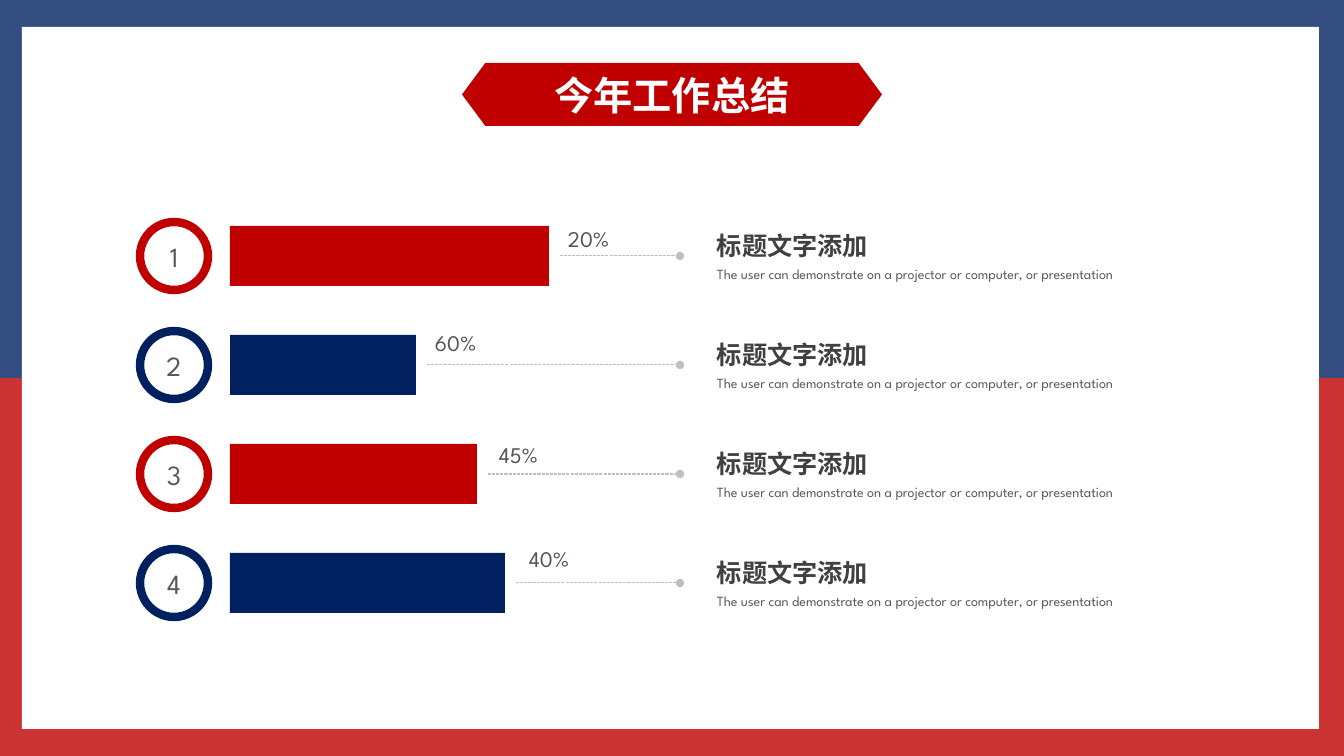
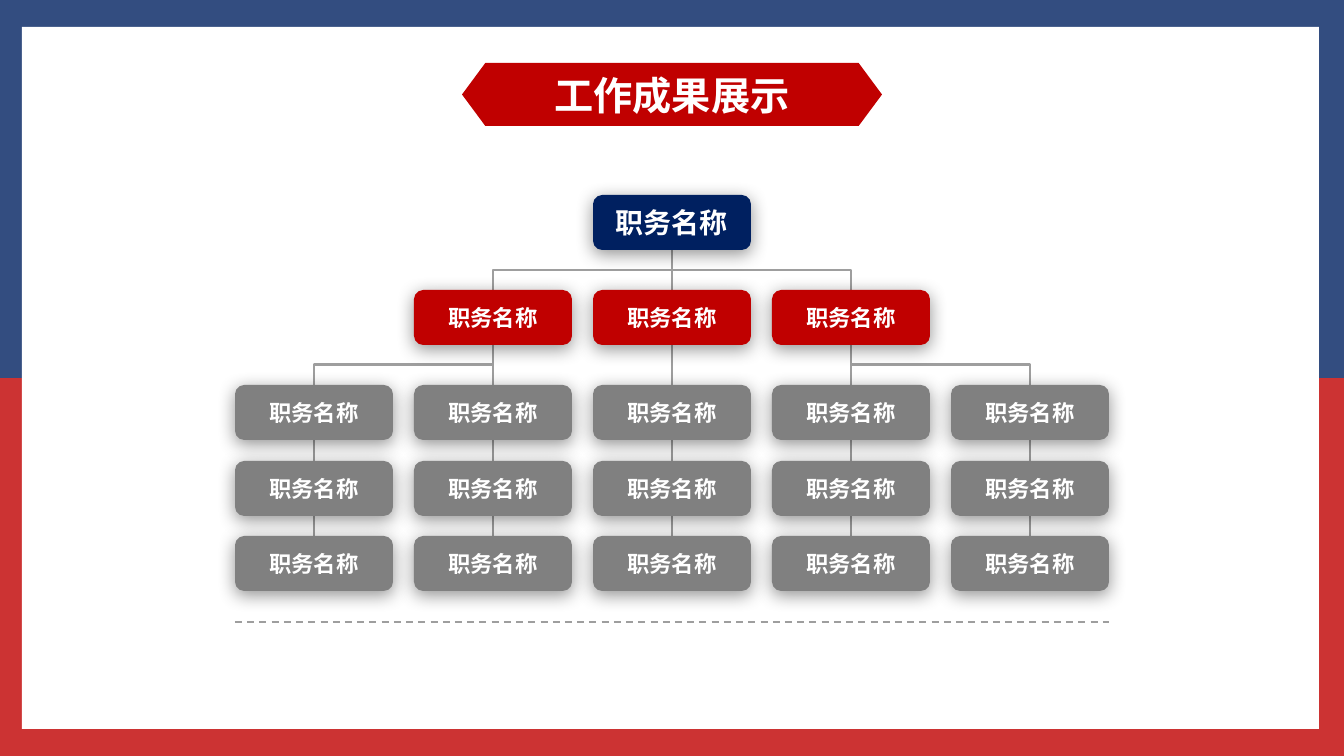
import pptx
import pptx.util
import pptx.dml.color
import pptx.enum.dml
import pptx.enum.shapes
import pptx.enum.text
import pptx.oxml
import pptx.oxml.ns

SCALE = 12192000 / 1344
SHAPE = pptx.enum.shapes.MSO_SHAPE
CONNECTOR = pptx.enum.shapes.MSO_CONNECTOR
DASH = pptx.enum.dml.MSO_LINE
ALIGN = pptx.enum.text.PP_ALIGN
MIDDLE = pptx.enum.text.MSO_ANCHOR.MIDDLE
TOP, BOTTOM = 0, 2

COLORS = {
    "navy": "002060", "red": "C00000", "gray": "808080", "white": "FFFFFF",
    "navy band": "334D80", "red band": "CC3333",
    "heading": "404040", "body": "595959", "percent": "53575C",
    "leader": "BFBFBF", "branch": "9E9E9E",
}
LATIN, CHINESE = "League Spartan", "Noto Sans CJK SC"
FORMATS = {
    "title": {"size": 28, "name": CHINESE, "color": "white", "bold": True},
    "number": {"size": 19.8, "name": LATIN, "color": "body"},
    "percent": {"size": 16, "name": LATIN, "color": "percent"},
    "heading": {"size": 18, "name": LATIN, "color": "heading", "bold": True},
    "body": {"size": 10, "name": LATIN, "color": "body"},
    "chief": {"size": 20, "name": "Arial", "color": "white", "bold": True},
    "post": {"size": 16, "name": "Arial", "color": "white", "bold": True},
}

# colour, bar length, percent text, its gap after the bar, its rise above the row centre
SUMMARY_ROWS = [
    ("red", 319, "20%", 19, 17),
    ("navy", 186, "60%", 19, 22),
    ("red", 247, "45%", 22, 19),
    ("navy", 275, "40%", 24, 24),
]
FIRST_ROW, ROW_PITCH = 256, 109
BAR_LEFT, LEADER_END, CAPTION_LEFT = 230, 680, 717
HEADING = "标题文字添加"
BODY = "The user can demonstrate on a projector or computer, or presentation"

POST = "职务名称"
POST_WIDTH, POST_HEIGHT = 158, 55
CHART_LEFT, COLUMN_PITCH = 235, 179
CHIEF_TOP, MANAGER_TOP = 195, 290
STAFF_TOPS = [385, 461, 536]
TEAMS = {1: [0, 1], 2: [2], 3: [3, 4]}  # manager column: staff columns


def px(length):
    return round(length * SCALE)


def rgb(name):
    return pptx.dml.color.RGBColor.from_string(COLORS[name])


def add_xml(parent, tag, **attributes):
    child = pptx.oxml.parse_xml(f"<a:{tag} {pptx.oxml.ns.nsdecls('a')}/>")
    for name, value in attributes.items():
        child.set(name, str(value))
    parent.append(child)
    return child


def write(shape, text, style, align=ALIGN.CENTER, spacing=None):
    """Fill a shape with one formatted paragraph, centred vertically."""
    frame = shape.text_frame
    frame_format = {"margin_left": 0, "margin_right": 0, "margin_top": 0,
                    "margin_bottom": 0, "word_wrap": True, "vertical_anchor": MIDDLE}
    for name, value in frame_format.items():
        setattr(frame, name, value)
    para = frame.paragraphs[0]
    para.alignment = align
    para.line_spacing = spacing
    span = para.add_run()
    span.text = text
    font_format = dict(FORMATS[style])
    span.font.color.rgb = rgb(font_format.pop("color"))
    font_format["size"] = pptx.util.Pt(font_format["size"])
    for name, value in font_format.items():
        setattr(span.font, name, value)
    add_xml(span.font._element, "ea", typeface=CHINESE)


def add_text(slide, left, top, width, height, text, style, spacing=None):
    box = slide.shapes.add_textbox(px(left), px(top), px(width), px(height))
    write(box, text, style, ALIGN.LEFT, spacing)


def add_block(slide, kind, left, top, width, height, color):
    """Add a flat preset shape with no line and no shadow."""
    block = slide.shapes.add_shape(kind, px(left), px(top), px(width), px(height))
    block.shadow.inherit = False
    block.fill.solid()
    block.fill.fore_color.rgb = rgb(color)
    block.line.fill.background()
    return block


def add_line(slide, start, end, color, width, dash=None, kind=CONNECTOR.STRAIGHT):
    line = slide.shapes.add_connector(kind, *map(px, start + end))
    line.line.color.rgb = rgb(color)
    line.line.width = pptx.util.Pt(width)
    if dash:
        line.line.dash_style = dash
    add_xml(line._element.spPr, "effectLst")
    return line


def move_to_layout(slide):
    """Draw the frame and the title banner, then hand them to the slide's layout."""
    blocks = [
        add_block(slide, SHAPE.RECTANGLE, 0, 0, 1344, 378, "navy band"),
        add_block(slide, SHAPE.RECTANGLE, 0, 378, 1344, 378, "red band"),
        add_block(slide, SHAPE.RECTANGLE, 22, 27, 1297, 702, "white"),
        add_block(slide, SHAPE.HEXAGON, 462, 63, 420, 63, "red"),
    ]
    blocks[-1].adjustments[0] = 0.37
    for index, block in enumerate(blocks, start=2):
        slide.slide_layout.shapes.element.insert(index, block._element)


def add_titled_slide(deck, title):
    slide = deck.slides.add_slide(deck.slide_layouts[5])
    box = slide.shapes.title
    for name, length in {"left": 462, "top": 63, "width": 420, "height": 63}.items():
        setattr(box, name, px(length))
    write(box, title, "title")
    return slide


def add_summary_row(slide, number, color, length, percent, gap, rise):
    centre = FIRST_ROW + (number - 1) * ROW_PITCH
    bar_end = BAR_LEFT + length

    ring = add_block(slide, SHAPE.OVAL, 140, centre - 34, 68, 68, "white")
    ring.line.color.rgb = rgb(color)
    ring.line.width = pptx.util.Pt(6)
    write(ring, str(number), "number")

    add_block(slide, SHAPE.RECTANGLE, BAR_LEFT, centre - 30, length, 60, color)
    leader = add_line(slide, (bar_end + 11, centre), (LEADER_END, centre),
                      "leader", 0.75, DASH.SQUARE_DOT)
    add_xml(leader.line._get_or_add_ln(), "tailEnd", type="oval")
    add_text(slide, bar_end + gap, centre - rise - 12, 80, 24, percent, "percent")

    add_text(slide, CAPTION_LEFT, centre - 26, 215, 30, HEADING, "heading")
    add_text(slide, CAPTION_LEFT, centre + 7, 489, 19, BODY, "body", 1.14)


def add_post(slide, column, top, color, style="post"):
    left = CHART_LEFT + column * COLUMN_PITCH
    post = add_block(slide, SHAPE.ROUNDED_RECTANGLE, left, top,
                     POST_WIDTH, POST_HEIGHT, color)
    effects = post._element.spPr.find(pptx.oxml.ns.qn("a:effectLst"))
    shadow = add_xml(effects, "outerShdw", blurRad=pptx.util.Pt(13),
                     dist=pptx.util.Pt(3), dir=5400000, algn="t", rotWithShape=0)
    add_xml(add_xml(shadow, "srgbClr", val="000000"), "alpha", val=42000)
    write(post, POST, style)
    return post


def turn_elbow(line, run, drop):
    """Rotate an elbow so that it leaves downwards and arrives from above."""
    middle_x, middle_y = line.left + line.width // 2, line.top + line.height // 2
    line.width, line.height = drop, abs(run)
    line.left, line.top = middle_x - drop // 2, middle_y - abs(run) // 2
    xfrm = line._element.spPr.find(pptx.oxml.ns.qn("a:xfrm"))
    xfrm.set("rot", "16200000" if run > 0 else "5400000")
    xfrm.set("flipH", "1" if run > 0 else "0")


def join(slide, parent, child):
    """Connect the bottom of one post to the top of another, behind both."""
    run = child.left - parent.left
    kind = CONNECTOR.ELBOW if run else CONNECTOR.STRAIGHT
    line = add_line(slide, (0, 0), (0, 0), "branch", 2, kind=kind)
    line.begin_connect(parent, BOTTOM)
    line.end_connect(child, TOP)
    if run:
        turn_elbow(line, run, child.top - parent.top - parent.height)
    slide.shapes.element.insert(2, line._element)


def add_org_chart(slide):
    chief = add_post(slide, 2, CHIEF_TOP, "navy", "chief")
    for manager_column, staff_columns in TEAMS.items():
        manager = add_post(slide, manager_column, MANAGER_TOP, "red")
        join(slide, chief, manager)
        for column in staff_columns:
            above = manager
            for top in STAFF_TOPS:
                post = add_post(slide, column, top, "gray")
                join(slide, above, post)
                above = post
    chart_right = CHART_LEFT + 4 * COLUMN_PITCH + POST_WIDTH
    add_line(slide, (CHART_LEFT, 622), (chart_right, 622), "branch", 1.25, DASH.DASH)


def main():
    deck = pptx.Presentation()
    deck.slide_width, deck.slide_height = px(1344), px(756)

    summary = add_titled_slide(deck, "今年工作总结")
    move_to_layout(summary)
    for number, row in enumerate(SUMMARY_ROWS, start=1):
        add_summary_row(summary, number, *row)

    results = add_titled_slide(deck, "工作成果展示")
    add_org_chart(results)

    deck.save("out.pptx")


if __name__ == "__main__":
    main()
